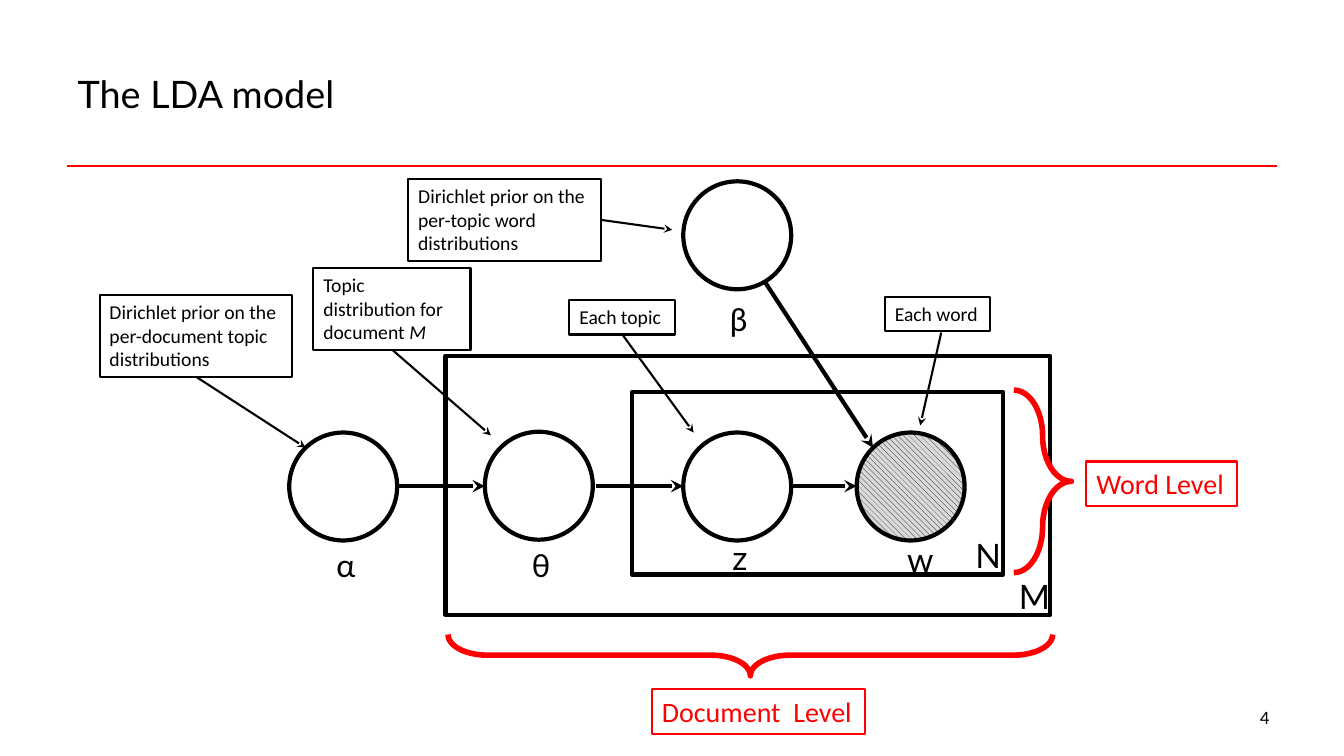
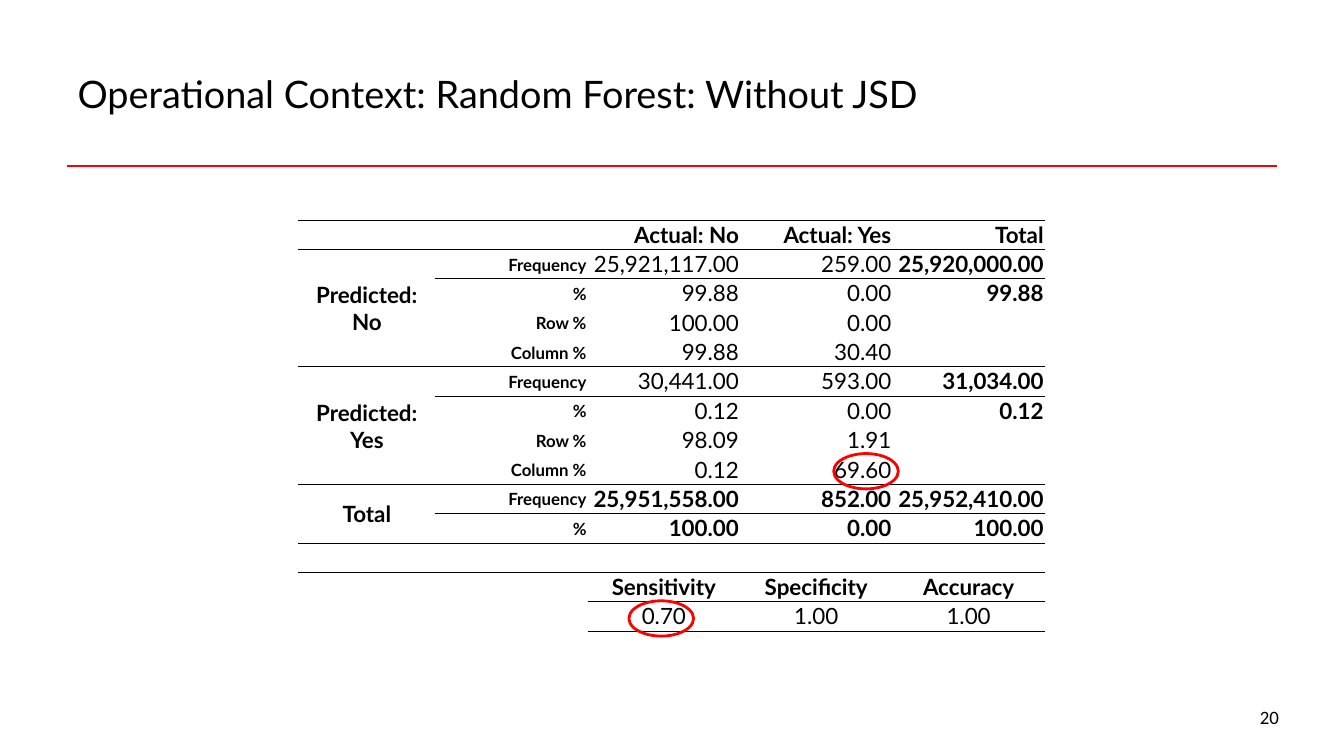
import lxml.etree
import pptx
import pptx.dml.color
import pptx.enum.dml
import pptx.enum.shapes
import pptx.enum.text
import pptx.oxml.ns
import pptx.shapes.autoshape
import pptx.util

Cm = pptx.util.Cm
Pt = pptx.util.Pt
qn = pptx.oxml.ns.qn
colour = pptx.dml.color.RGBColor.from_string
SHAPE = pptx.enum.shapes.MSO_SHAPE
STRAIGHT = pptx.enum.shapes.MSO_CONNECTOR.STRAIGHT
ALIGN = pptx.enum.text.PP_ALIGN
ANCHOR = pptx.enum.text.MSO_ANCHOR

BLACK, WHITE, RED, GREY = "000000", "FFFFFF", "FF0000", "D9D9D9"
HEADING, BODY = "Lato", "Calibri"


def outline(shape, line, weight, fill=None):
    """Give a shape or connector its line, no shadow and, for a shape, its fill."""
    shape.line.color.rgb = colour(line)
    shape.line.width = Pt(weight)
    if isinstance(shape, pptx.shapes.autoshape.Shape):
        if fill:
            shape.fill.solid()
            shape.fill.fore_color.rgb = colour(fill)
        else:
            shape.fill.background()
    lxml.etree.SubElement(shape.element.spPr, qn("a:effectLst"))


def write(frame, text, size, font, hue=BLACK, bold=False, align=ALIGN.LEFT, italic_end=""):
    frame.word_wrap = True
    paragraph = frame.paragraphs[0]
    paragraph.text = text
    paragraph.alignment = align
    if italic_end:
        span = paragraph.add_run()
        span.text = italic_end
        span.font.italic = True
    for span in paragraph.runs:
        span.font.size = Pt(size)
        span.font.name = font
        span.font.bold = bold
        span.font.color.rgb = colour(hue)


deck = pptx.Presentation()
deck.slide_width, deck.slide_height = Cm(33.87), Cm(19.05)
layout = deck.slide_layouts[5]

# Shared title, page number and red rule
pages = []
for title, number in [("The LDA model", "4"),
                      ("Operational Context: Random Forest: Without JSD", "20")]:
    page = deck.slides.add_slide(layout)
    heading = page.shapes.title
    heading.left, heading.top, heading.width, heading.height = Cm(1.7), Cm(0.76), Cm(30.48), Cm(3.18)
    heading.text_frame.vertical_anchor = ANCHOR.MIDDLE
    write(heading.text_frame, title, 27, HEADING)
    box = page.shapes.add_textbox(Cm(31.5), Cm(17.65), Cm(2.36), Cm(1.02))
    write(box.text_frame, number, 13.5, BODY)
    pages.append(page)
model, results = pages

rule = model.shapes.add_connector(STRAIGHT, Cm(1.7), Cm(4.19), Cm(32.18), Cm(4.19))
outline(rule, RED, 1.5)
layout.shapes.element.append(rule.element)

# Model: plates and nodes
for left, top, width, height in [(11.23, 8.97, 15.24, 6.53), (15.93, 9.88, 9.35, 4.6)]:
    plate = model.shapes.add_shape(SHAPE.RECTANGLE, Cm(left), Cm(top), Cm(width), Cm(height))
    outline(plate, BLACK, 3)

DIAMETER = 2.72
for left, top in [(7.29, 10.9), (12.22, 10.88), (17.22, 10.9), (17.22, 4.57), (21.59, 10.9)]:
    node = model.shapes.add_shape(SHAPE.OVAL, Cm(left), Cm(top), Cm(DIAMETER), Cm(DIAMETER))
    outline(node, BLACK, 3)
observed = node
observed.fill.patterned()
observed.fill.pattern = pptx.enum.dml.MSO_PATTERN.WIDE_DOWNWARD_DIAGONAL
observed.fill.fore_color.rgb = colour(BLACK)
observed.fill.back_color.rgb = colour(GREY)

for letter, font, left, top in [
    ("α", BODY, 8.23, 13.59), ("θ", BODY, 13.16, 13.59), ("β", BODY, 18.14, 7.39),
    ("z", HEADING, 18.21, 13.41), ("w", HEADING, 22.61, 13.46),
    ("N", HEADING, 24.33, 13.36), ("M", HEADING, 25.43, 14.38),
]:
    box = model.shapes.add_textbox(Cm(left), Cm(top), Cm(1.1), Cm(1.27))
    write(box.text_frame, letter, 24, font)

# Model: braces and boxed captions
for left, top, width, height, turn, fill in [
    (25.55, 9.83, 1.45, 4.6, 0, WHITE), (18.39, 8.89, 1.04, 15.24, 90, None),
]:
    brace = model.shapes.add_shape(SHAPE.RIGHT_BRACE, Cm(left), Cm(top), Cm(width), Cm(height))
    brace.adjustments[0], brace.adjustments[1] = 0.95, 0.5
    brace.rotation = turn
    outline(brace, RED, 4, fill)

for text, italic_end, size, hue, left, top, width, height in [
    ("Word Level", "", 20, RED, 27.38, 11.63, 3.8, 1.12),
    ("Document  Level", "", 20, RED, 16.43, 17.37, 5.36, 1.12),
    ("Topic distribution for document ", "M", 14, BLACK, 7.9, 6.76, 3.96, 2.06),
    ("Each topic", "", 14, BLACK, 14.35, 7.57, 2.66, 0.86),
    ("Each word", "", 14, BLACK, 22.3, 7.49, 2.66, 0.86),
    ("Dirichlet prior on the per-document topic distributions", "", 14, BLACK, 2.51, 7.44, 4.85, 2.06),
    ("Dirichlet prior on the per-topic word distributions", "", 14, BLACK, 10.29, 4.52, 4.85, 2.06),
]:
    caption = model.shapes.add_shape(SHAPE.RECTANGLE, Cm(left), Cm(top), Cm(width), Cm(height))
    outline(caption, hue, 1.5, WHITE)
    caption.text_frame.vertical_anchor = ANCHOR.TOP
    write(caption.text_frame, text, size, BODY, hue, italic_end=italic_end)

# Model: thick arrows join nodes, thin ones lead from captions
for weight, x1, y1, x2, y2 in [
    (3, 10.03, 12.25, 12.22, 12.25), (3, 15.01, 12.25, 17.22, 12.25),
    (3, 19.94, 12.25, 21.59, 12.25), (3, 19.28, 7.11, 22, 11.28),
    (1.5, 9.88, 8.81, 12.37, 10.97), (1.5, 15.67, 8.41, 17.48, 10.9),
    (1.5, 23.72, 8.38, 23.19, 10.72), (1.5, 4.95, 9.5, 7.7, 11.28),
    (1.5, 15.14, 5.54, 16.94, 5.79),
]:
    arrow = model.shapes.add_connector(STRAIGHT, Cm(x1), Cm(y1), Cm(x2), Cm(y2))
    outline(arrow, BLACK, weight)
    lxml.etree.SubElement(arrow.element.spPr.find(qn("a:ln")), qn("a:tailEnd"), type="stealth")

# Results: confusion matrix with the summary measures below
ROWS = [
    ("", "", "Actual: No", "Actual: Yes", "Total"),
    ("Predicted: No", "Frequency", "25,921,117.00", "259.00", "25,920,000.00"),
    ("", "%", "99.88", "0.00", "99.88"),
    ("", "Row %", "100.00", "0.00", ""),
    ("", "Column %", "99.88", "30.40", ""),
    ("Predicted: Yes", "Frequency", "30,441.00", "593.00", "31,034.00"),
    ("", "%", "0.12", "0.00", "0.12"),
    ("", "Row %", "98.09", "1.91", ""),
    ("", "Column %", "0.12", "69.60", ""),
    ("Total", "Frequency", "25,951,558.00", "852.00", "25,952,410.00"),
    ("", "%", "100.00", "0.00", "100.00"),
    ("", "", "", "", ""),
    ("", "", "Sensitivity", "Specificity", "Accuracy"),
    ("", "", "0.70", "1.00", "1.00"),
]
COLUMN_WIDTHS = [3.45] + [3.84] * 4
ROW_HEIGHT = 0.74
SUMMARY_ROW = 12
BOLD_ROWS = {0, 9, 10, SUMMARY_ROW}
# Row boundary: first column that its line covers
RULED = {0: 0, 1: 0, 5: 0, 9: 0, 11: 0, 12: 2, 13: 2, 14: 2}

frame = results.shapes.add_table(len(ROWS), len(COLUMN_WIDTHS), Cm(7.52), Cm(5.54),
                                 Cm(sum(COLUMN_WIDTHS)), Cm(ROW_HEIGHT * len(ROWS)))
table = frame.table
table.first_row = table.horz_banding = False
NO_STYLE = "{2D5ABB26-0587-4C30-8999-92F81FD0307C}"
frame.element.find(".//" + qn("a:tableStyleId")).text = NO_STYLE
for column, width in zip(table.columns, COLUMN_WIDTHS):
    column.width = Cm(width)

for r, texts in enumerate(ROWS):
    table.rows[r].height = Cm(ROW_HEIGHT)
    for c, text in enumerate(texts):
        cell = table.cell(r, c)
        side = 0.1 if c == 0 else 0.03
        cell.margin_left = cell.margin_right = Cm(side)
        cell.margin_top, cell.margin_bottom = Cm(0.03), 0
        cell.vertical_anchor = ANCHOR.MIDDLE if c < 2 else ANCHOR.TOP
        if text:
            bold = r in BOLD_ROWS or (c in (0, 1, 4) and r < SUMMARY_ROW)
            align = ALIGN.CENTER if c == 0 or r >= SUMMARY_ROW else ALIGN.RIGHT
            write(cell.text_frame, text, 12 if c == 1 else 16, HEADING, BLACK, bold, align)
        else:
            paragraph = cell.text_frame.paragraphs[0]
            lxml.etree.SubElement(paragraph._p, qn("a:endParaRPr"), sz="1200")
        properties = cell._tc.get_or_add_tcPr()
        for tag, boundary in [("a:lnT", r), ("a:lnB", r + 1)]:
            if c >= RULED.get(boundary, len(COLUMN_WIDTHS)):
                border = lxml.etree.SubElement(properties, qn(tag), w=str(Pt(0.5)))
                solid = lxml.etree.SubElement(border, qn("a:solidFill"))
                lxml.etree.SubElement(solid, qn("a:srgbClr"), val=BLACK)
        cell.fill.background()

for first, last in [(1, 4), (5, 8), (9, 10)]:
    table.cell(first, 0).merge(table.cell(last, 0))

for left, top in [(15.85, 15.14), (21.01, 11.43)]:
    ring = results.shapes.add_shape(SHAPE.OVAL, Cm(left), Cm(top), Cm(1.63), Cm(0.89))
    outline(ring, RED, 2)

deck.save("out.pptx")
